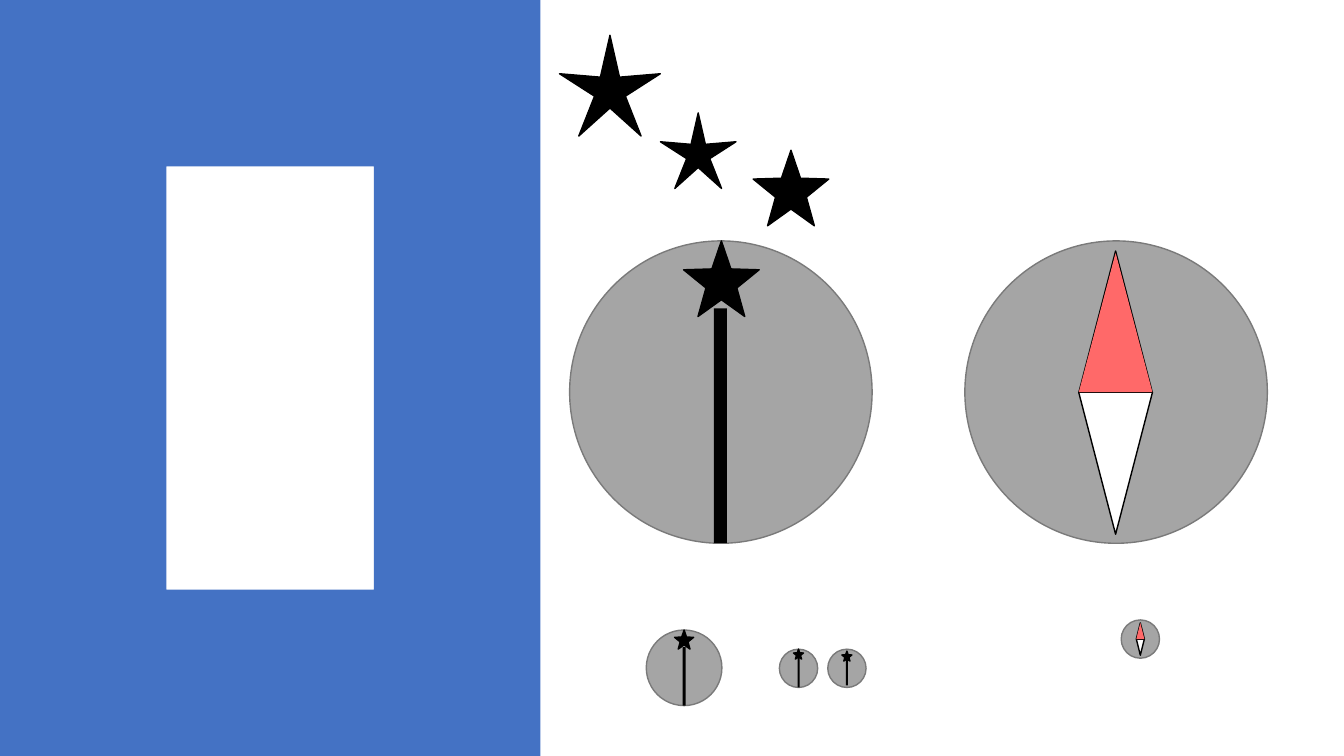
import pptx
import pptx.dml.color
import pptx.enum.shapes
import pptx.util

PX = 9144  # EMU per px, 100 px to the inch
SHAPE = pptx.enum.shapes.MSO_SHAPE
THEME = {
    "frame": "4472C4",
    "ink": "000000",
    "dial": "A5A5A5",
    "rim": "7A7A7A",
    "south": "FFFFFF",
    "north": "FF6969",
    "line_width": pptx.util.Pt(1),
}
SLIM, FULL = 0.153, 0.204  # star thickness

deck = pptx.Presentation()
deck.slide_width, deck.slide_height = 1333 * PX, 750 * PX
slide = deck.slides.add_slide(deck.slide_layouts[6])


def draw(shapes, kind, box, fill, line=None, adjust=None):
    figure = shapes.add_shape(kind, *(round(length) * PX for length in box))
    figure.shadow.inherit = False
    figure.fill.solid()
    figure.fill.fore_color.rgb = pptx.dml.color.RGBColor.from_string(THEME[fill])
    if line:
        figure.line.color.rgb = pptx.dml.color.RGBColor.from_string(THEME[line])
        figure.line.width = THEME["line_width"]
    else:
        figure.line.fill.background()
    if adjust is not None:
        figure.adjustments[0] = adjust


# Blue frame on the left
draw(slide.shapes, SHAPE.FRAME, (0, 0, 536, 750), "frame", adjust=0.308)

# Loose stars
for left, top, size, thickness in [(555, 35, 100, SLIM), (655, 112, 75, SLIM), (747, 149, 75, FULL)]:
    draw(slide.shapes, SHAPE.STAR_5_POINT, (left, top, size, size), "ink", "ink", thickness)

# Dials with a star-tipped hand, scaled from the diameter
for left, top, size, drop in [(565, 239, 300, 0), (641, 625, 75, 0), (773, 644, 38, 0), (821, 644, 38, 2)]:
    dial = slide.shapes.add_group_shape().shapes
    center = left + size / 2
    star, hand = size / 4, round(size * 0.044)
    hand_top = round(size * 0.224) + drop
    draw(dial, SHAPE.OVAL, (left, top, size, size), "dial", "rim")
    draw(dial, SHAPE.STAR_5_POINT, (center - star / 2, top + drop, star, star), "ink", "ink", FULL)
    draw(dial, SHAPE.RECTANGLE,
         (center - hand / 2, top + hand_top, hand, size - hand_top - drop), "ink")

# Compasses: needle centred on the dial, red northern half
for left, top, size, needle_width, needle_height, north_height in [
    (957, 239, 300, 73, 281, 138),
    (1112, 615, 38, 8, 32, 16),
]:
    compass = slide.shapes.add_group_shape().shapes
    needle_left = left + (size - needle_width) // 2
    middle = top + size // 2
    draw(compass, SHAPE.OVAL, (left, top, size, size), "dial", "rim")
    draw(compass, SHAPE.FLOWCHART_SORT,
         (needle_left, middle - needle_height // 2, needle_width, needle_height), "south", "ink")
    draw(compass, SHAPE.ISOSCELES_TRIANGLE,
         (needle_left, middle - north_height, needle_width, north_height), "north")

deck.save("out.pptx")
